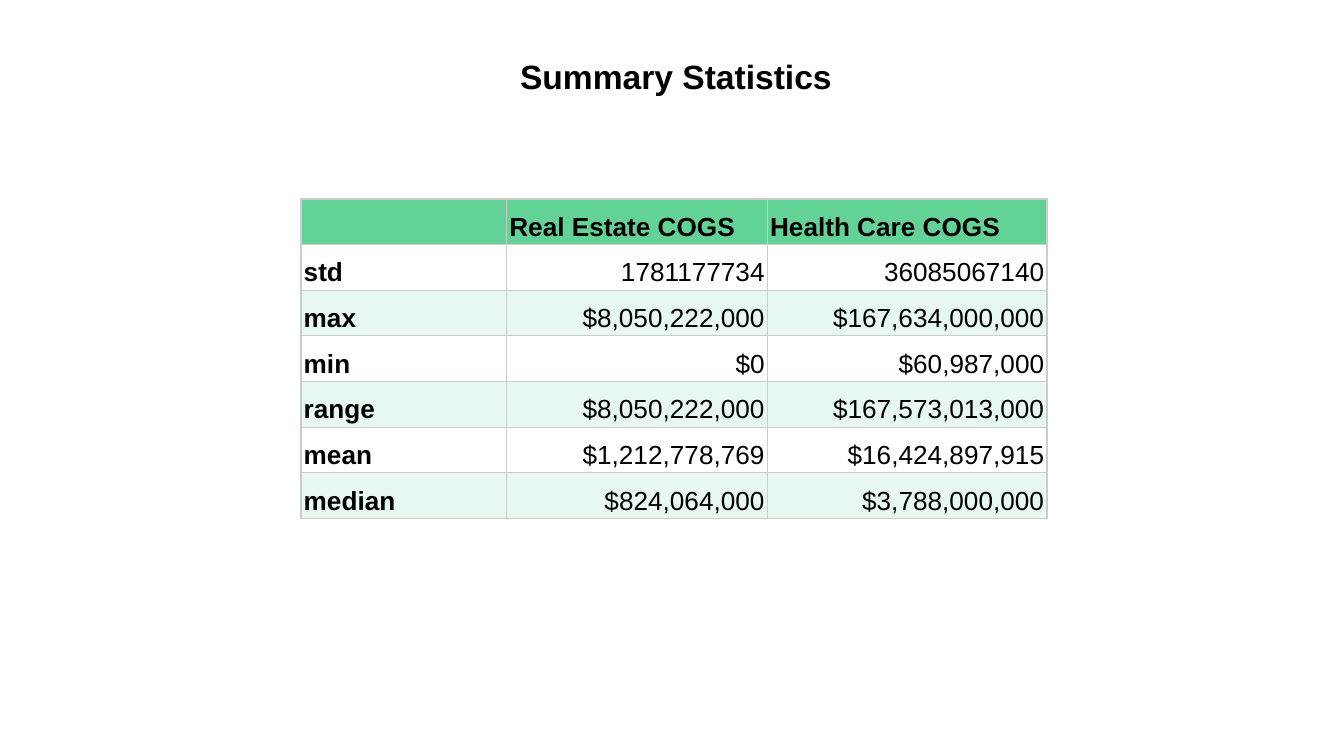
from lxml import etree
from pptx import Presentation
from pptx.dml.color import RGBColor
from pptx.enum.text import MSO_ANCHOR, PP_ALIGN
from pptx.oxml.ns import qn
from pptx.util import Inches, Pt

COLORS = {
    "text": "000000",
    "header": "63D297",
    "band": "E7F9EF",
    "plain": "FFFFFF",
    "border": "CCCCCC",
}
ROWS = [
    ("", "Real Estate COGS", "Health Care COGS"),
    ("std", "1781177734", "36085067140"),
    ("max", "$8,050,222,000", "$167,634,000,000"),
    ("min", "$0", "$60,987,000"),
    ("range", "$8,050,222,000", "$167,573,013,000"),
    ("mean", "$1,212,778,769", "$16,424,897,915"),
    ("median", "$824,064,000", "$3,788,000,000"),
]
COL_WIDTHS = [1.53, 1.94, 2.08]
ROW_HEIGHT = 0.34


def style_text(p, size, bold, align):
    p.alignment = align
    p.font.name = "Arial"
    p.font.size = Pt(size)
    p.font.bold = bold
    p.font.color.rgb = RGBColor.from_string(COLORS["text"])


def add_borders(cell):
    tc_pr = cell._tc.get_or_add_tcPr()
    for side in ("a:lnL", "a:lnR", "a:lnT", "a:lnB"):
        ln = etree.SubElement(tc_pr, qn(side), w=str(Pt(0.75)))
        fill = etree.SubElement(ln, qn("a:solidFill"))
        etree.SubElement(fill, qn("a:srgbClr"), val=COLORS["border"])


prs = Presentation()
prs.slide_width = Inches(10)
prs.slide_height = Inches(10 * 9 / 16)
s = prs.slides.add_slide(prs.slide_layouts[6])

# Statistics table
table = s.shapes.add_table(
    len(ROWS), len(COL_WIDTHS), Inches(2.24), Inches(1.48),
    Inches(sum(COL_WIDTHS)), Inches(ROW_HEIGHT * len(ROWS)),
).table
for column, width in zip(table.columns, COL_WIDTHS):
    column.width = Inches(width)

for i, values in enumerate(ROWS):
    table.rows[i].height = Inches(ROW_HEIGHT)
    fill_name = "header" if i == 0 else "plain" if i % 2 else "band"
    for j, value in enumerate(values):
        cell = table.cell(i, j)
        cell.text = value
        cell.vertical_anchor = MSO_ANCHOR.BOTTOM
        cell.margin_left = cell.margin_right = Inches(0.02)
        cell.margin_top = cell.margin_bottom = Inches(0.02)
        is_label = i == 0 or j == 0
        align = PP_ALIGN.LEFT if is_label else PP_ALIGN.RIGHT
        style_text(cell.text_frame.paragraphs[0], 14, is_label, align)
        add_borders(cell)
        cell.fill.solid()
        cell.fill.fore_color.rgb = RGBColor.from_string(COLORS[fill_name])

# Title
title = s.shapes.add_textbox(Inches(1.6), Inches(0.37), Inches(6.86), Inches(0.4))
tf = title.text_frame
tf.word_wrap = True
tf.text = "Summary Statistics"
style_text(tf.paragraphs[0], 18, True, PP_ALIGN.CENTER)

prs.save("out.pptx")
